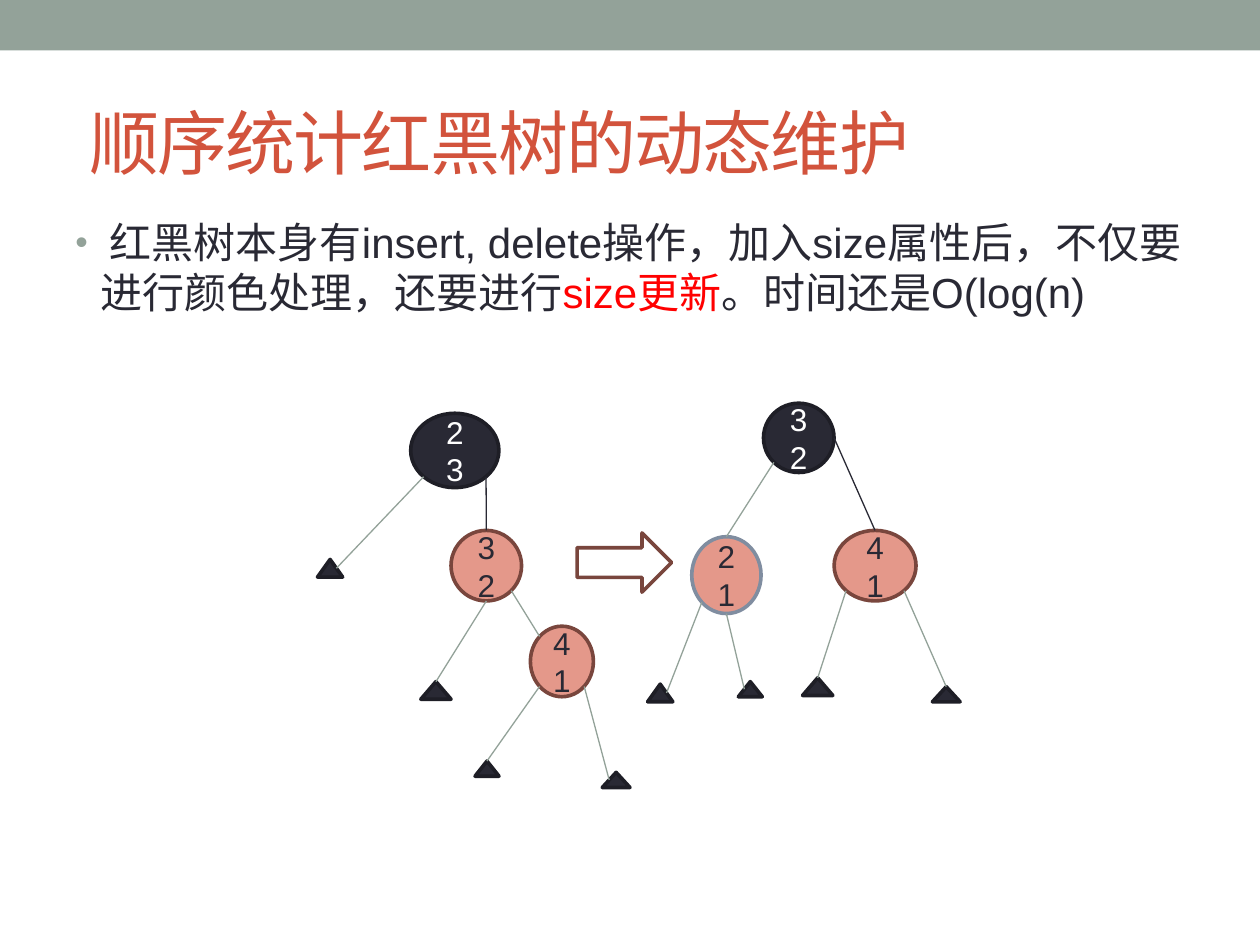
from lxml import etree
from pptx import Presentation
from pptx.dml.color import RGBColor
from pptx.enum.shapes import MSO_CONNECTOR, MSO_SHAPE
from pptx.enum.text import MSO_ANCHOR, PP_ALIGN
from pptx.oxml.ns import qn
from pptx.util import Pt

PX = 9144  # EMU per px, 100 px to the inch
FONT = "Arial"
SAGE = RGBColor(0x93, 0xA2, 0x99)
RUST = RGBColor(0xD2, 0x53, 0x3C)
INK = RGBColor(0x29, 0x29, 0x34)
INK_EDGE = RGBColor(0x1E, 0x1E, 0x26)
RED = RGBColor(0xFF, 0x00, 0x00)
SALMON = RGBColor(0xE4, 0x98, 0x8A)
BROWN = RGBColor(0x79, 0x46, 0x3D)
SLATE = RGBColor(0x80, 0x8D, 0xA0)
WHITE = RGBColor(0xFF, 0xFF, 0xFF)

RECTANGLE, OVAL = MSO_SHAPE.RECTANGLE, MSO_SHAPE.OVAL
TRIANGLE, RIGHT_ARROW = MSO_SHAPE.ISOSCELES_TRIANGLE, MSO_SHAPE.RIGHT_ARROW
STRAIGHT = MSO_CONNECTOR.STRAIGHT
MIDDLE, CENTER = MSO_ANCHOR.MIDDLE, PP_ALIGN.CENTER

# Node styles: fill, outline, text
BLACK_NODE = (INK, INK_EDGE, WHITE)
RED_NODE = (SALMON, BROWN, INK)
NEW_RED_NODE = (SALMON, SLATE, INK)

# Points where edges meet a node, as fractions of its width and height
SITES = {
    "top": (0.5, 0), "bottom": (0.5, 1), "right": (1, 0.5),
    "top left": (0.146, 0.146),
    "bottom left": (0.146, 0.854), "bottom right": (0.854, 0.854),
    "left slope": (0.25, 0.5), "right slope": (0.75, 0.5),
}

# Circles: name -> (box, style); leaves: name -> box; edges: from, site, to, site, colour
LEFT_TREE = (
    {"23": ((74, 0, 70, 59), BLACK_NODE),
     "32": ((106, 93, 56, 56), RED_NODE),
     "41": ((169, 169, 50, 56), RED_NODE)},
    {"a": (0, 116, 20, 14), "b": (82, 213, 24, 14),
     "c": (125, 276, 19, 12), "d": (226, 285, 22, 12)},
    [("23", "bottom left", "a", "right slope", SAGE),
     ("23", "bottom right", "32", "top", INK),
     ("32", "bottom", "b", "top", SAGE),
     ("32", "bottom right", "41", "top left", SAGE),
     ("41", "bottom left", "c", "top", SAGE),
     ("41", "bottom right", "d", "left slope", SAGE)],
)
RIGHT_TREE = (
    {"32": ((92, 0, 56, 55), BLACK_NODE),
     "41": ((148, 101, 65, 56), RED_NODE),
     "21": ((35, 106, 55, 61), NEW_RED_NODE)},
    {"a": (0, 223, 20, 14), "b": (72, 221, 19, 12),
     "c": (123, 218, 24, 14), "d": (226, 225, 22, 12)},
    [("32", "bottom left", "21", "top", SAGE),
     ("32", "right", "41", "top", INK),
     ("21", "bottom left", "a", "right slope", SAGE),
     ("21", "bottom", "b", "left slope", SAGE),
     ("41", "bottom left", "c", "top", SAGE),
     ("41", "bottom right", "d", "top", SAGE)],
)


def add_run(paragraph, text, size, color):
    run = paragraph.add_run()
    run.text = text
    run.font.name = FONT
    run.font.size = Pt(size)
    run.font.color.rgb = color
    return run


def add_filled(slide, kind, box, fill, outline=None):
    shape = slide.shapes.add_shape(kind, *(value * PX for value in box))
    shape.shadow.inherit = False
    shape.fill.solid()
    shape.fill.fore_color.rgb = fill
    if outline is None:
        shape.line.fill.background()
    else:
        shape.line.color.rgb = outline
        shape.line.width = Pt(2.08)
    return shape


def add_text_frame(slide, box):
    frame = slide.shapes.add_textbox(*(value * PX for value in box)).text_frame
    frame.word_wrap = True
    return frame


def add_title(slide, box):
    frame = add_text_frame(slide, box)
    frame.vertical_anchor = MIDDLE
    run = add_run(frame.paragraphs[0], " 顺序统计红黑树的动态维护", 40, RUST)
    run.font._element.set("spc", "-100")


def add_body(slide, box):
    paragraph = add_text_frame(slide, box).paragraphs[0]
    # Hanging bullet
    properties = paragraph._p.get_or_add_pPr()
    properties.set("marL", str(20 * PX))
    properties.set("indent", str(-20 * PX))
    bullet_color = etree.SubElement(properties, qn("a:buClr"))
    etree.SubElement(bullet_color, qn("a:srgbClr"), val=str(SAGE))
    etree.SubElement(properties, qn("a:buSzPct"), val="85000")
    etree.SubElement(properties, qn("a:buFont"), typeface=FONT)
    etree.SubElement(properties, qn("a:buChar"), char="•")
    for text, color in (
        (" 红黑树本身有insert, delete操作，加入size属性后，不仅要进行颜色处理，还要进行", INK),
        ("size更新", RED),
        ("。时间还是O(log(n)", INK),
    ):
        add_run(paragraph, text, 24, color)


def add_circle(slide, box, key, style):
    fill, outline, text_color = style
    circle = add_filled(slide, OVAL, box, fill, outline)
    frame = circle.text_frame
    frame.vertical_anchor = MIDDLE
    # One digit to a line
    for index, digit in enumerate(key):
        paragraph = frame.add_paragraph() if index else frame.paragraphs[0]
        paragraph.alignment = CENTER
        add_run(paragraph, digit, 18, text_color)
    return circle


def site_point(shape, site):
    across, down = SITES[site]
    return (round(shape.left + across * shape.width),
            round(shape.top + down * shape.height))


def add_edge(slide, parent, parent_site, child, child_site, color):
    edge = slide.shapes.add_connector(
        STRAIGHT, *site_point(parent, parent_site), *site_point(child, child_site))
    edge.line.color.rgb = color
    edge.line.width = Pt(0.75)
    etree.SubElement(edge._element.spPr, qn("a:effectLst"))
    if child_site == "top":
        edge.end_connect(child, 0)


def add_tree(slide, left, top, tree):
    circles, leaves, edges = tree
    nodes = {}

    def place(box):
        return (left + box[0], top + box[1], box[2], box[3])

    for key, (box, style) in circles.items():
        nodes[key] = add_circle(slide, place(box), key, style)
    for name, box in leaves.items():
        nodes[name] = add_filled(slide, TRIANGLE, place(box), INK, INK_EDGE)
    for parent, parent_site, child, child_site, color in edges:
        add_edge(slide, nodes[parent], parent_site, nodes[child], child_site, color)


def main():
    presentation = Presentation()
    presentation.slide_width = 1000 * PX
    presentation.slide_height = 750 * PX
    slide = presentation.slides.add_slide(presentation.slide_layouts[6])

    # Top band and text
    add_filled(slide, RECTANGLE, (0, 0, 1000, 40), SAGE)
    add_title(slide, (50, 58, 900, 108))
    add_body(slide, (50, 167, 900, 533))

    # Tree before and after the rotation
    add_tree(slide, 252, 328, LEFT_TREE)
    add_tree(slide, 514, 320, RIGHT_TREE)
    add_filled(slide, RIGHT_ARROW, (458, 423, 75, 47), WHITE, BROWN)

    presentation.save("out.pptx")


if __name__ == "__main__":
    main()
